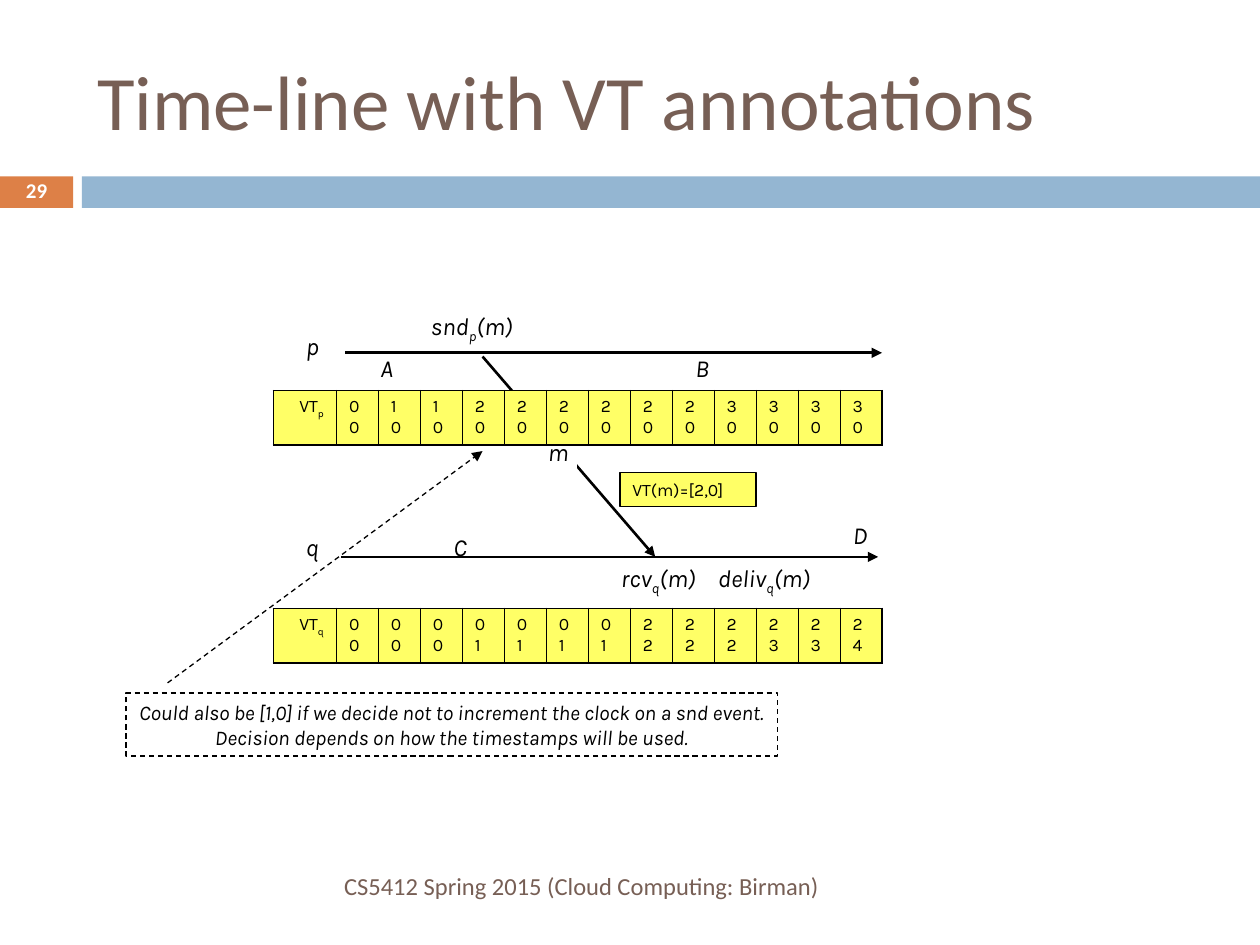
from lxml import etree
from pptx import Presentation
from pptx.dml.color import RGBColor
from pptx.enum.dml import MSO_LINE
from pptx.enum.shapes import MSO_CONNECTOR, MSO_SHAPE
from pptx.enum.text import MSO_ANCHOR, PP_ALIGN
from pptx.oxml import parse_xml
from pptx.oxml.ns import nsdecls, qn
from pptx.util import Inches, Pt

LEFT, CENTER, RIGHT = PP_ALIGN.LEFT, PP_ALIGN.CENTER, PP_ALIGN.RIGHT
TOP, MIDDLE = MSO_ANCHOR.TOP, MSO_ANCHOR.MIDDLE
DASH = MSO_LINE.DASH
BLACK = RGBColor(0x00, 0x00, 0x00)
WHITE = RGBColor(0xFF, 0xFF, 0xFF)
YELLOW = RGBColor(0xFF, 0xFF, 0x66)
BROWN = RGBColor(0x77, 0x5F, 0x55)
ORANGE = RGBColor(0xDD, 0x80, 0x47)
BLUE = RGBColor(0x94, 0xB6, 0xD2)

# In all wording, the part between two bars is a subscript.
TITLE = "Time-line with VT annotations"
NOTE = ("Could also be [1,0] if we decide not to increment the clock on a snd event. "
        "Decision depends on how the timestamps will be used.")
FOOTER = "CS5412 Spring 2015 (Cloud Computing: Birman)"
BARS = [((0, 1.4, 0.58, 0.25), ORANGE), ((0.65, 1.4, 9.35, 0.25), BLUE)]

# Start and end of each solid arrow
ARROWS = [((2.74, 2.8), (7, 2.8)), ((2.71, 4.42), (6.97, 4.42)), ((3.83, 2.83), (5.2, 4.42))]
NOTE_ARROW = ((1.33, 5.42), (3.83, 3.58))

# Text, box and fill
LABELS = [
    ("p", (2.33, 2.58, 0.33, 0.99), WHITE),
    ("q", (2.33, 4.17, 0.33, 0.99), WHITE),
    ("m", (4.25, 3.42, 0.33, 0.33), WHITE),
    ("D", (6.67, 4.08, 0.33, 0.33), None),
    ("A", (2.92, 2.75, 0.33, 0.33), None),
    ("C", (3.5, 4.17, 0.33, 0.33), None),
    ("B", (5.42, 2.75, 0.33, 0.33), None),
    ("rcv|q|(m)", (4.83, 4.42, 0.85, 0.4), None),
    ("deliv|q|(m)", (5.6, 4.42, 1.2, 0.4), None),
    ("snd|p|(m)", (3.32, 2.42, 1.18, 0.99), None),
]

# Top of each table, then its cells
TABLES = [
    (4.83, ["VT|q|", "0 0", "0 0", "0 0", "0 1", "0 1", "0 1", "0 1",
            "2 2", "2 2", "2 2", "23", "2 3", "2 4"]),
    (3.1, ["VT|p|", "0 0", "1 0", "1 0", "2 0", "2 0", "2 0", "2 0",
           "2 0", "2 0", "3 0", "30", "3 0", "3 0"]),
]
TABLE_LEFT, TABLE_WIDTH, TABLE_HEIGHT, HEAD_WIDTH = 2.17, 4.83, 0.43, 0.5
THIN, THICK = 0.45, 1.08


def write(tf, text, size, font="Karla", color=BLACK, align=LEFT, italic=False, bold=False):
    p = tf.paragraphs[0]
    p.alignment = align
    for i, part in enumerate(text.split("|")):
        if not part:
            continue
        r = p.add_run()
        r.text = part
        r.font.size, r.font.name = Pt(size), font
        r.font.italic, r.font.bold = italic, bold
        r.font.color.rgb = color
        if i % 2:
            r.font._element.set("baseline", "-25000")
    return p


def add_box(box, fill=None, line=None, dash=None):
    """Add a rectangle and return its text frame."""
    s = slide.shapes.add_shape(MSO_SHAPE.RECTANGLE, *map(Inches, box))
    s.shadow.inherit = False
    if fill is None:
        s.fill.background()
    else:
        s.fill.solid()
        s.fill.fore_color.rgb = fill
    if line is None:
        s.line.fill.background()
    else:
        s.line.color.rgb, s.line.width = line, Pt(0.75)
        s.line.dash_style = dash
    s.text_frame.word_wrap = True
    s.text_frame.vertical_anchor = TOP
    return s.text_frame


def add_text_box(box, anchor=TOP):
    tf = slide.shapes.add_textbox(*map(Inches, box)).text_frame
    tf.word_wrap = True
    tf.vertical_anchor = anchor
    return tf


def add_arrow(start, end, width, dash=None):
    s = slide.shapes.add_connector(MSO_CONNECTOR.STRAIGHT, *map(Inches, start + end))
    s.line.color.rgb, s.line.width = BLACK, Pt(width)
    s.line.dash_style = dash
    etree.SubElement(s.line._get_or_add_ln(), qn("a:tailEnd"), type="triangle")
    etree.SubElement(s._element.spPr, qn("a:effectLst"))


def set_borders(cell, **widths):
    tc_pr = cell._tc.get_or_add_tcPr()
    for i, (side, width) in enumerate(widths.items()):
        tc_pr.insert(i, parse_xml(
            f'<a:ln{side} {nsdecls("a")} w="{Pt(width)}"><a:solidFill>'
            f'<a:srgbClr val="{BLACK}"/></a:solidFill></a:ln{side}>'))


def add_vector_table(top, texts):
    last = len(texts) - 1
    frame = slide.shapes.add_table(1, len(texts), Inches(TABLE_LEFT), Inches(top),
                                   Inches(TABLE_WIDTH), Inches(TABLE_HEIGHT))
    table = frame.table
    table.first_row = table.horz_banding = False
    for i, text in enumerate(texts):
        table.columns[i].width = Inches((TABLE_WIDTH - HEAD_WIDTH) / last if i else HEAD_WIDTH)
        cell = table.cell(0, i)
        cell.fill.solid()
        cell.fill.fore_color.rgb = YELLOW
        set_borders(cell, L=THIN if i else THICK, R=THICK if i == last else THIN,
                    T=THICK, B=THICK)
        write(cell.text_frame, text, 10, align=LEFT if i else RIGHT)


prs = Presentation()
prs.slide_width, prs.slide_height = Inches(10), Inches(7.5)
slide = prs.slides.add_slide(prs.slide_layouts[5])

title = slide.shapes.title
title.left, title.top, title.width, title.height = map(Inches, (0.67, 0.25, 8.92, 1.08))
title.text_frame.vertical_anchor = MIDDLE
write(title.text_frame, TITLE, 44, "Calibri", BROWN)

for box, color in BARS:
    add_box(box, color)
for start, end in ARROWS:
    add_arrow(start, end, 1.5)
for text, box, fill in LABELS:
    tf = add_box(box, fill) if fill else add_text_box(box)
    write(tf, text, 14, italic=True)
for top, texts in TABLES:
    add_vector_table(top, texts)

write(add_box((4.92, 3.75, 1.08, 0.27), YELLOW, BLACK), "VT(m)=[2,0]", 10)
add_arrow(*NOTE_ARROW, 0.75, DASH)
write(add_box((1, 5.5, 5.17, 0.5), None, BLACK, DASH), NOTE, 12, align=CENTER, italic=True)

write(add_text_box((0.67, 6.83, 5.93, 0.4), MIDDLE), FOOTER, 14, "Calibri", BROWN, RIGHT)
number = write(add_text_box((0, 1.39, 0.58, 0.27), MIDDLE), "29", 12, "Calibri", WHITE,
               CENTER, bold=True)
number.line_spacing = 0.8

prs.save("out.pptx")
